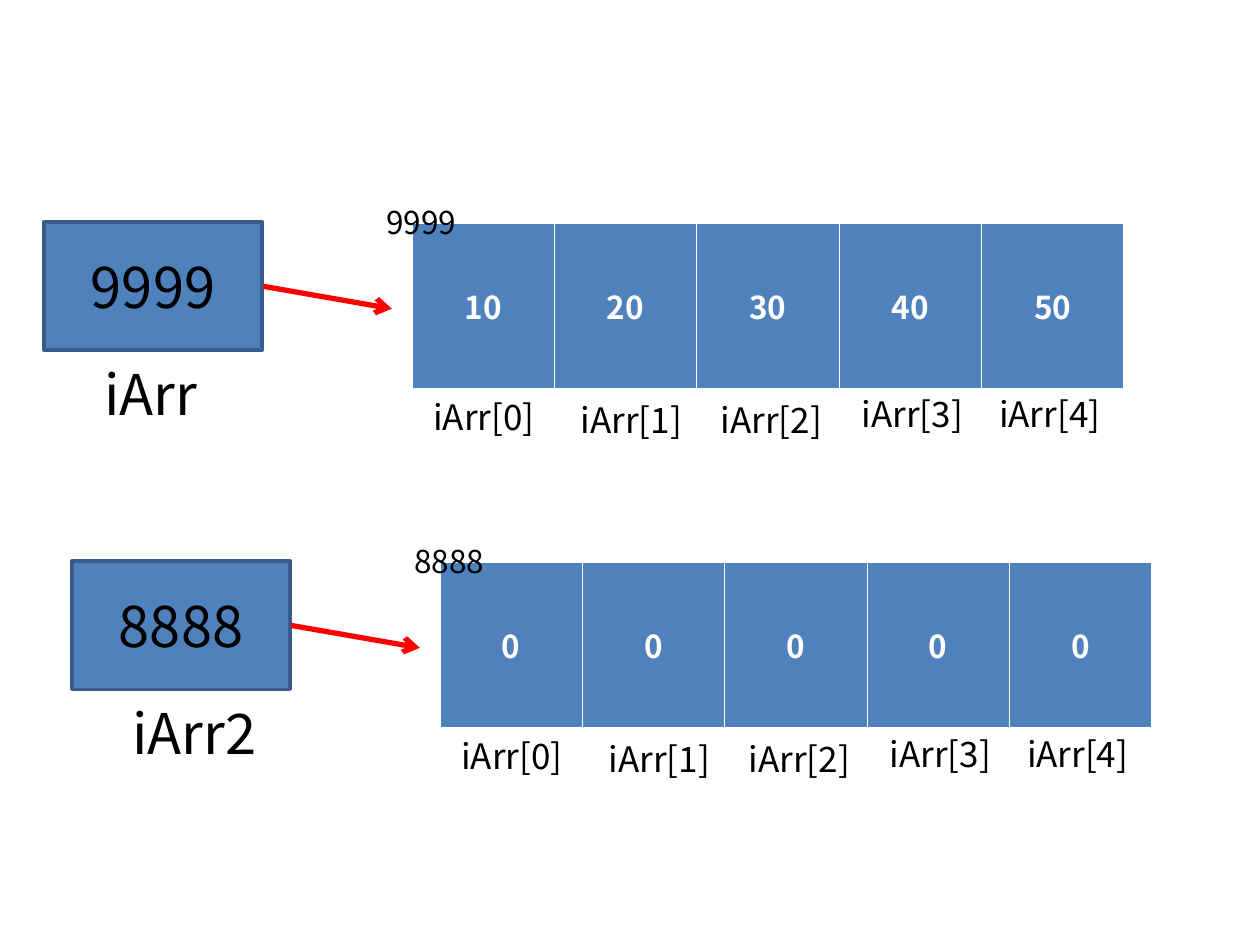
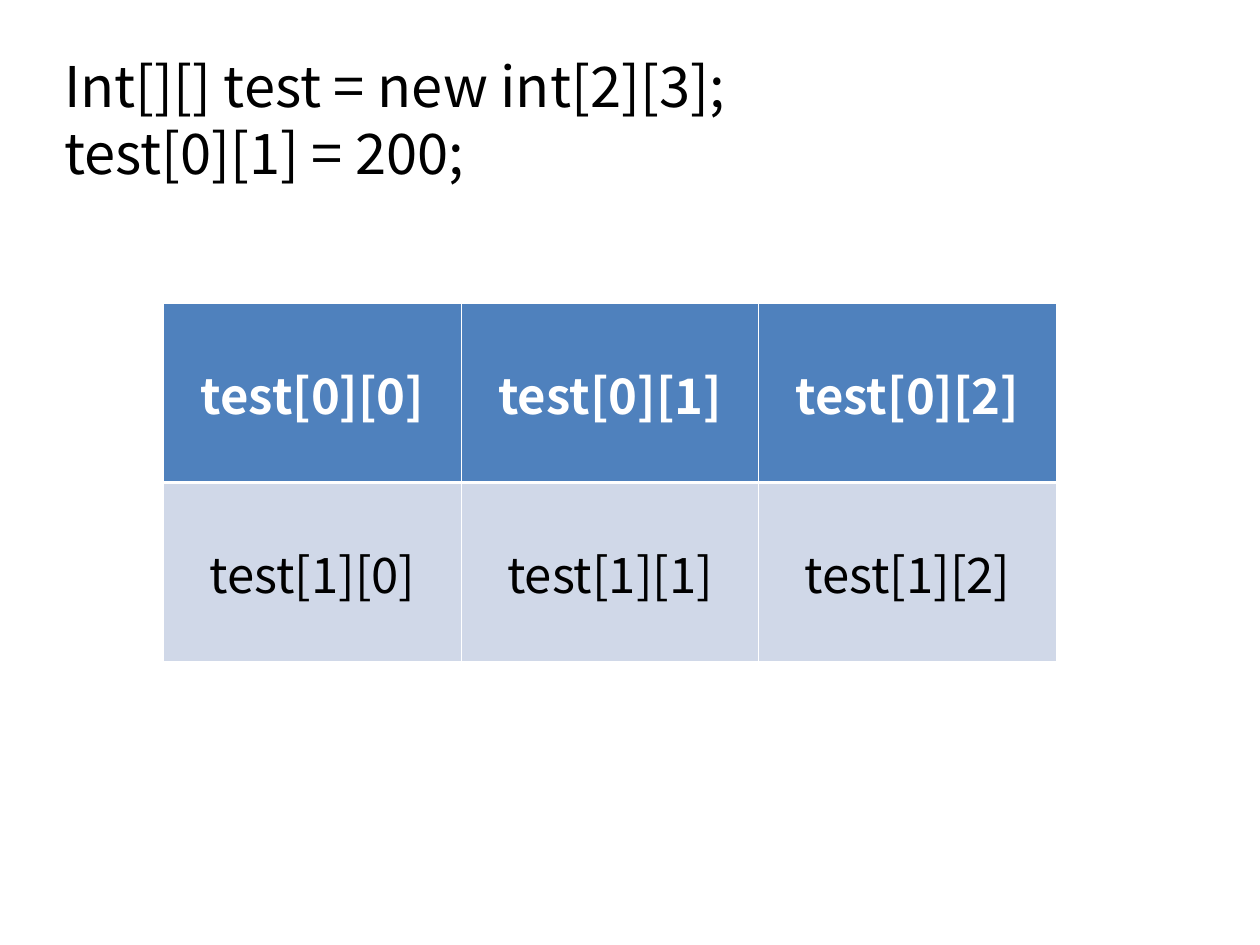
"""Builds two slides that show arrays in memory."""
from lxml import etree
from pptx import Presentation
from pptx.dml.color import RGBColor
from pptx.enum.shapes import MSO_CONNECTOR, MSO_SHAPE
from pptx.enum.text import MSO_ANCHOR, MSO_AUTO_SIZE, PP_ALIGN
from pptx.oxml.ns import qn
from pptx.util import Pt

RECT = MSO_SHAPE.RECTANGLE
STRAIGHT = MSO_CONNECTOR.STRAIGHT
MIDDLE = MSO_ANCHOR.MIDDLE
LEFT, CENTER = PP_ALIGN.LEFT, PP_ALIGN.CENTER
FIT = MSO_AUTO_SIZE.SHAPE_TO_FIT_TEXT

FONT = "Noto Sans CJK KR"
COLORS = {"blue": "4F81BD", "edge": "385D8A", "pale": "D0D8E8",
          "red": "FF0000", "black": "000000", "white": "FFFFFF"}
THIN, THICK = 0.45, 1.47
INDEX_SPOTS = [(240.5, 222.5), (324.7, 223.9), (404.8, 223.9),
               (485.3, 221), (563.8, 221)]


def color(name):
    return RGBColor.from_string(COLORS[name])


def write(tf, text, size=18, fill="black", bold=False, align=LEFT, spacing=None):
    for i, line in enumerate(text.split("\n")):
        p = tf.paragraphs[0] if i == 0 else tf.add_paragraph()
        p.alignment = align
        if spacing:
            p.line_spacing = Pt(size * spacing)
        r = p.add_run()
        r.text = line
        r.font.name = FONT
        r.font.size = Pt(size)
        r.font.bold = bold
        r.font.color.rgb = color(fill)


class Deck:
    def __init__(self):
        self.prs = Presentation()
        self.prs.slide_width, self.prs.slide_height = Pt(720), Pt(540)

    def slide(self):
        self.s = self.prs.slides.add_slide(self.prs.slide_layouts[6])

    def text(self, x, y, w, h, text, size):
        tf = self.s.shapes.add_textbox(Pt(x), Pt(y), Pt(w), Pt(h)).text_frame
        tf.word_wrap = False
        tf.auto_size = FIT
        write(tf, text, size=size, spacing=1.2)

    def box(self, x, y, w, h, text):
        sp = self.s.shapes.add_shape(RECT, Pt(x), Pt(y), Pt(w), Pt(h))
        sp.shadow.inherit = False
        sp.fill.solid()
        sp.fill.fore_color.rgb = color("blue")
        sp.line.color.rgb = color("edge")
        sp.line.width = Pt(2)
        sp.text_frame.vertical_anchor = MIDDLE
        write(sp.text_frame, text, size=32, align=CENTER)

    def arrow(self, x1, y1, x2, y2):
        sp = self.s.shapes.add_connector(STRAIGHT, Pt(x1), Pt(y1), Pt(x2), Pt(y2))
        sp.line.color.rgb = color("red")
        sp.line.width = Pt(3)
        ln = sp.line._get_or_add_ln()
        etree.SubElement(ln, qn("a:tailEnd"), type="arrow")
        etree.SubElement(sp._element.spPr, qn("a:effectLst"))

    def borders(self, cell, top, bottom):
        tc_pr = cell._tc.get_or_add_tcPr()
        for side, width in zip("LRTB", (THIN, THIN, top, bottom)):
            ln = etree.SubElement(tc_pr, qn(f"a:ln{side}"), w=str(int(Pt(width))))
            fill = etree.SubElement(ln, qn("a:solidFill"))
            etree.SubElement(fill, qn("a:srgbClr"), val=COLORS["white"])

    def table(self, x, y, col_w, row_h, rows, size):
        n_rows, n_cols = len(rows), len(rows[0])
        table = self.s.shapes.add_table(n_rows, n_cols, Pt(x), Pt(y),
                                        Pt(col_w * n_cols), Pt(row_h * n_rows)).table
        table.horz_banding = False
        for col in table.columns:
            col.width = Pt(col_w)
        for i, row in enumerate(rows):
            table.rows[i].height = Pt(row_h)
            head = i == 0
            for j, text in enumerate(row):
                cell = table.cell(i, j)
                self.borders(cell, *((THIN, THICK) if head else (THICK, THIN)))
                cell.fill.solid()
                cell.fill.fore_color.rgb = color("blue" if head else "pale")
                cell.vertical_anchor = MIDDLE
                write(cell.text_frame, text, size=size, bold=head, align=CENTER,
                      fill="white" if head else "black")

    def array(self, dx, dy, name, name_w, address, values):
        self.table(235.4 + dx, 127.4 + dy, 81.36, 95, [values], 18)
        self.box(25.2 + dx, 126.7 + dy, 124.6, 73.4, address)
        self.text(52.6 + dx, 201.6 + dy, name_w, 46, name, 32)
        self.text(213.8 + dx, 112.3 + dy, 55.4, 29, address, 18)
        self.arrow(150.4 + dx, 163.6 + dy, 223.9 + dx, 176.4 + dy)
        for i, (x, y) in enumerate(INDEX_SPOTS):
            self.text(x + dx, y + dy, 73.4, 31.5, f"iArr[{i}]", 20)


def main():
    deck = Deck()
    deck.slide()
    deck.array(0, 0, "iArr", 69, "9999", ["10", "20", "30", "40", "50"])
    deck.array(16, 193.8, "iArr2", 87.8, "8888", ["0"] * 5)

    deck.slide()
    cells = [[f"test[{i}][{j}]" for j in range(3)] for i in range(2)]
    deck.table(93.6, 173.5, 170, 102.2, cells, 28)
    deck.text(29.5, 26, 396.7, 84.2,
              "Int[][] test = new int[2][3];\ntest[0][1] = 200;", 32)
    deck.prs.save("out.pptx")


if __name__ == "__main__":
    main()
